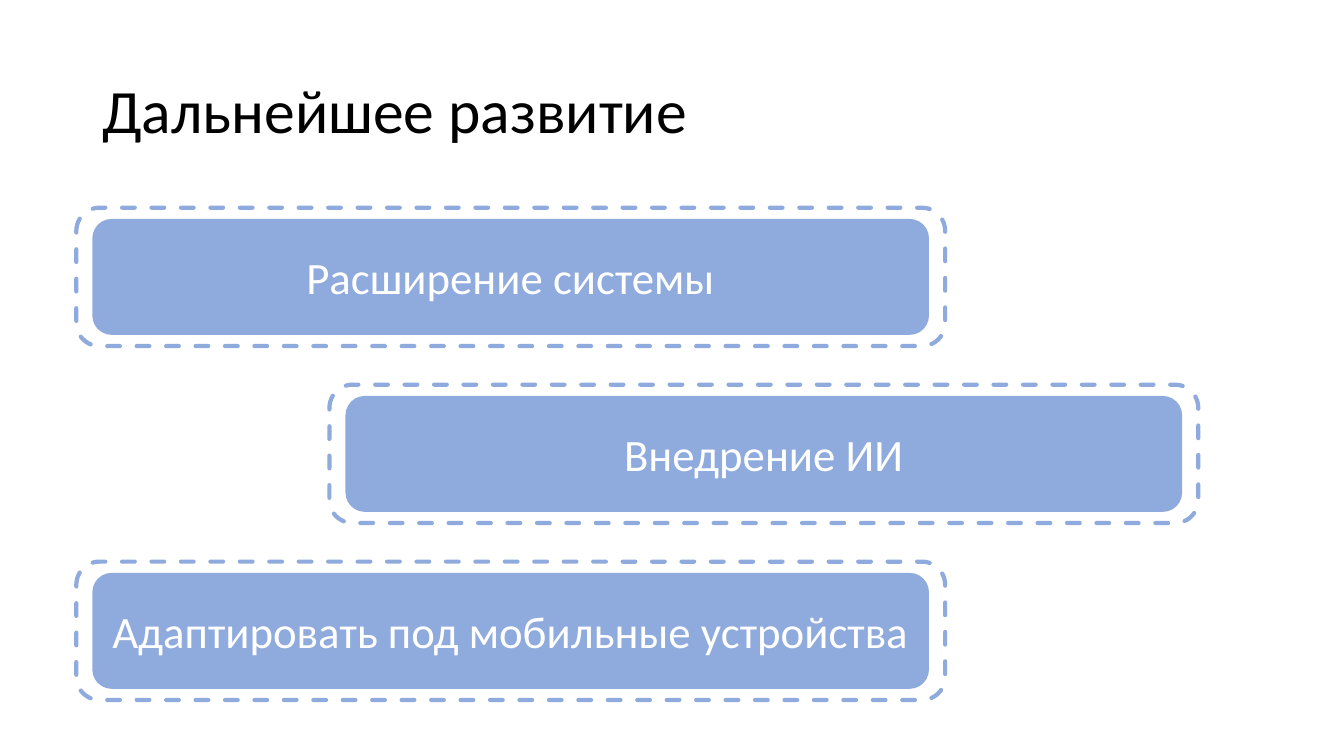
from pptx import Presentation
from pptx.dml.color import RGBColor
from pptx.enum import dml, shapes, text
from pptx.oxml import ns
from pptx.util import Pt

COLORS = {"card": "8FAADC", "title": "000000", "label": "FFFFFF"}
FONT = "Calibri"
CARD_LEFT, CARD_TOP = 66, 156.4
CARD_W, CARD_H = 597.6, 82.8
ROW_STEP, SHIFT = 126.4, 180.8
MARGIN_X, MARGIN_Y = 11.5, 8
PLANS = ["Расширение системы", "Внедрение ИИ", "Адаптировать под мобильные устройства"]


def rgb(name):
    return RGBColor.from_string(COLORS[name])


def write(s, words, size, color, align):
    tf = s.text_frame
    tf.word_wrap = True
    tf.vertical_anchor = text.MSO_ANCHOR.MIDDLE
    tf.text = words
    p = tf.paragraphs[0]
    p.alignment = align
    r = p.runs[0]
    r.font.name = FONT
    r.font.size = Pt(size)
    r.font.color.rgb = rgb(color)
    return p


def add_title(slide, words):
    s = slide.shapes.add_textbox(Pt(66), Pt(28.8), Pt(828), Pt(104.4))
    p = write(s, words, 44, "title", text.PP_ALIGN.LEFT)
    p.line_spacing = 0.9


def add_rounded(slide, x, y, w, h):
    s = slide.shapes.add_shape(
        shapes.MSO_SHAPE.ROUNDED_RECTANGLE, Pt(x), Pt(y), Pt(w), Pt(h))
    s.shadow.inherit = False
    return s


def add_frame(slide, x, y):
    s = add_rounded(slide, x - MARGIN_X, y - MARGIN_Y,
                    CARD_W + 2 * MARGIN_X, CARD_H + 2 * MARGIN_Y)
    s.fill.background()
    s.line.color.rgb = rgb("card")
    s.line.width = Pt(3)
    s.line.dash_style = dml.MSO_LINE.DASH
    s.element.spPr.find(ns.qn("a:ln")).set("cap", "rnd")


def add_card(slide, x, y, words):
    s = add_rounded(slide, x, y, CARD_W, CARD_H)
    s.fill.solid()
    s.fill.fore_color.rgb = rgb("card")
    s.line.fill.background()
    write(s, words, 32, "label", text.PP_ALIGN.CENTER)


def main():
    prs = Presentation()
    prs.slide_width, prs.slide_height = Pt(960), Pt(540)
    slide = prs.slides.add_slide(prs.slide_layouts[6])
    add_title(slide, "Дальнейшее развитие")
    for i, plan in enumerate(PLANS):
        x = CARD_LEFT + SHIFT * (i % 2)
        y = CARD_TOP + ROW_STEP * i
        add_frame(slide, x, y)
        add_card(slide, x, y, plan)
    prs.save("out.pptx")


if __name__ == "__main__":
    main()
